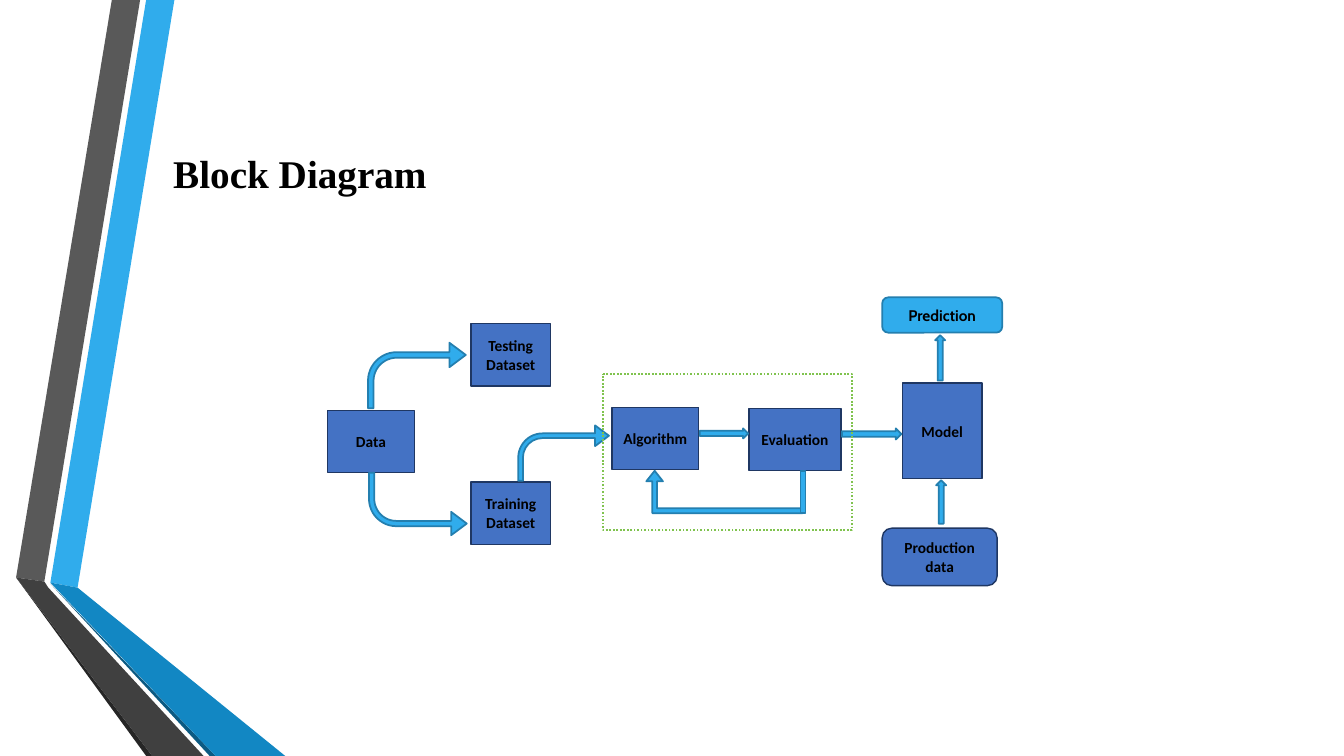
from pptx import Presentation
from pptx import util as u
from pptx.dml.color import RGBColor
from pptx.enum import dml, shapes, text

PX = 9144  # EMU per px, 100 px to the inch
KIND = shapes.MSO_SHAPE
BLUE, SKY, NAVY, STEEL, GREEN = "4472C4", "30ACEC", "1F3763", "247FAF", "80C34F"


def color(code):
    return RGBColor.from_string(code)


def assign(target, values):
    for name, value in values.items():
        setattr(target, name, value)


class BlockSlide:
    label_font = {"name": "Calibri", "size": u.Pt(11), "bold": True}
    title_font = {"name": "Times New Roman", "size": u.Pt(28), "bold": True}
    frame_format = {"word_wrap": True, "vertical_anchor": text.MSO_ANCHOR.MIDDLE}
    label_margins = {"margin_left": 8 * PX, "margin_right": 8 * PX}
    centred = {"alignment": text.PP_ALIGN.CENTER}

    def __init__(self, presentation):
        self.slide = presentation.slides.add_slide(presentation.slide_layouts[6])

    def label(self, shape, words, font, paragraph_format):
        assign(shape.text_frame, self.frame_format)
        paragraph = shape.text_frame.paragraphs[0]
        assign(paragraph, paragraph_format)
        run = paragraph.add_run()
        run.text = words
        assign(run.font, font)
        run.font.color.rgb = color("000000")

    def title(self, words, *box):
        shape = self.slide.shapes.add_textbox(*(v * PX for v in box))
        self.label(shape, words, self.title_font, {})

    def ribbon(self, fill, points):
        builder = self.slide.shapes.build_freeform(*points[0], scale=PX)
        builder.add_line_segments(points[1:], close=True)
        shape = builder.convert_to_shape()
        shape.shadow.inherit = False
        shape.fill.solid()
        shape.fill.fore_color.rgb = color(fill)
        shape.line.fill.background()

    def outline(self, kind, box, fill, line, width, adjust=()):
        shape = self.slide.shapes.add_shape(kind, *(v * PX for v in box))
        shape.shadow.inherit = False
        if fill:
            shape.fill.solid()
            shape.fill.fore_color.rgb = color(fill)
        else:
            shape.fill.background()
        shape.line.color.rgb = color(line)
        shape.line.width = u.Pt(width)
        for index, value in enumerate(adjust):
            shape.adjustments[index] = value
        return shape

    def block(self, words, *box, kind=KIND.FLOWCHART_PROCESS, fill=BLUE,
              line=NAVY, width=1, font={}, spacing={}):
        shape = self.outline(kind, box, fill, line, width)
        assign(shape.text_frame, self.label_margins)
        self.label(shape, words, {**self.label_font, **font}, {**self.centred, **spacing})

    def arrow(self, kind, *box, adjust=(), rotation=0, flip=False):
        shape = self.outline(kind, box, SKY, STEEL, 1.25, adjust)
        shape.rotation = rotation
        if flip:
            shape.element.spPr.get_or_add_xfrm().set("flipV", "1")

    def dotted_frame(self, *box):
        shape = self.outline(KIND.FLOWCHART_PROCESS, box, None, GREEN, 1.25)
        shape.line.dash_style = dml.MSO_LINE.ROUND_DOT


def main():
    presentation = Presentation()
    presentation.slide_width, presentation.slide_height = 1333 * PX, 750 * PX
    page = BlockSlide(presentation)

    # Folded ribbons on the left
    for fill, points in (
        (SKY, [(50, 578), (77, 583), (173, 0), (145, 0)]),
        ("595959", [(139, 0), (111, 0), (16, 573), (44, 577)]),
        ("262626", [(16, 573), (145, 750), (151, 750)]),
        ("0C5A82", [(50, 579), (208, 750), (214, 750)]),
        ("1287C3", [(50, 578), (214, 750), (283, 750), (77, 583)]),
        ("404040", [(202, 750), (48, 583), (44, 577), (16, 573), (151, 750)]),
    ):
        page.ribbon(fill, points)

    page.title("Block Diagram", 162, 75, 1096, 192)

    # Process blocks
    for words, *box in (
        ("Testing Dataset", 467, 321, 79, 62),
        ("Training Dataset", 467, 478, 79, 62),
        ("Algorithm", 607, 404, 86, 62),
        ("Evaluation", 743, 405, 91, 62),
        ("Model", 895, 380, 79, 95),
        ("Data", 325, 407, 86, 62),
    ):
        page.block(words, *box)
    page.block("Production data", 875, 524, 114, 57, kind=KIND.ROUNDED_RECTANGLE)

    # Curved arrows out of the data blocks
    bend = (0.085, 0.187, 0.25, 0.438)
    page.arrow(KIND.BENT_ARROW, 365, 340, 97, 65, adjust=bend)
    page.arrow(KIND.BENT_ARROW, 366, 469, 97, 62, adjust=bend, flip=True)
    page.arrow(KIND.BENT_ARROW, 514, 422, 90, 55, adjust=bend)

    # Feedback loop from evaluation to algorithm
    page.arrow(KIND.BENT_UP_ARROW, 641, 467, 155, 42,
               adjust=(0.112, 0.197, 0.25), rotation=180, flip=True)
    page.arrow(KIND.RECTANGLE, 794, 467, 5, 42)

    # Straight arrows, the last two pointing up
    for rotation, *box in (
        (0, 694, 425, 48, 10),
        (0, 835, 425, 59, 11),
        (270, 910, 350, 45, 10),
        (270, 912, 493, 43, 10),
    ):
        page.arrow(KIND.RIGHT_ARROW, *box, rotation=rotation)

    # Training loop frame and result
    page.dotted_frame(598, 371, 247, 155)
    page.block("Prediction", 875, 295, 119, 35, kind=KIND.ROUNDED_RECTANGLE,
               fill=SKY, line=STEEL, width=1.25, font={"name": "Cabin"},
               spacing={"line_spacing": 1.07, "space_before": u.Pt(10),
                        "space_after": u.Pt(8)})

    presentation.save("out.pptx")


if __name__ == "__main__":
    main()
